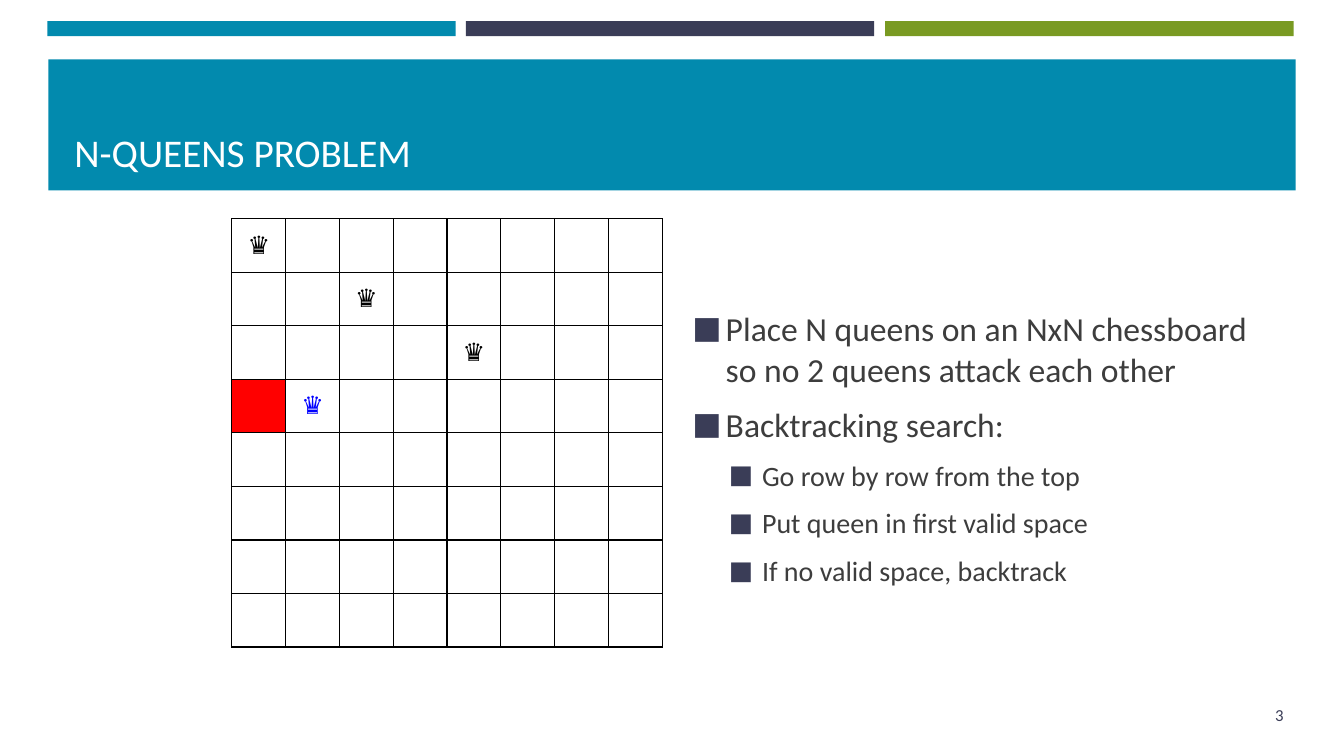
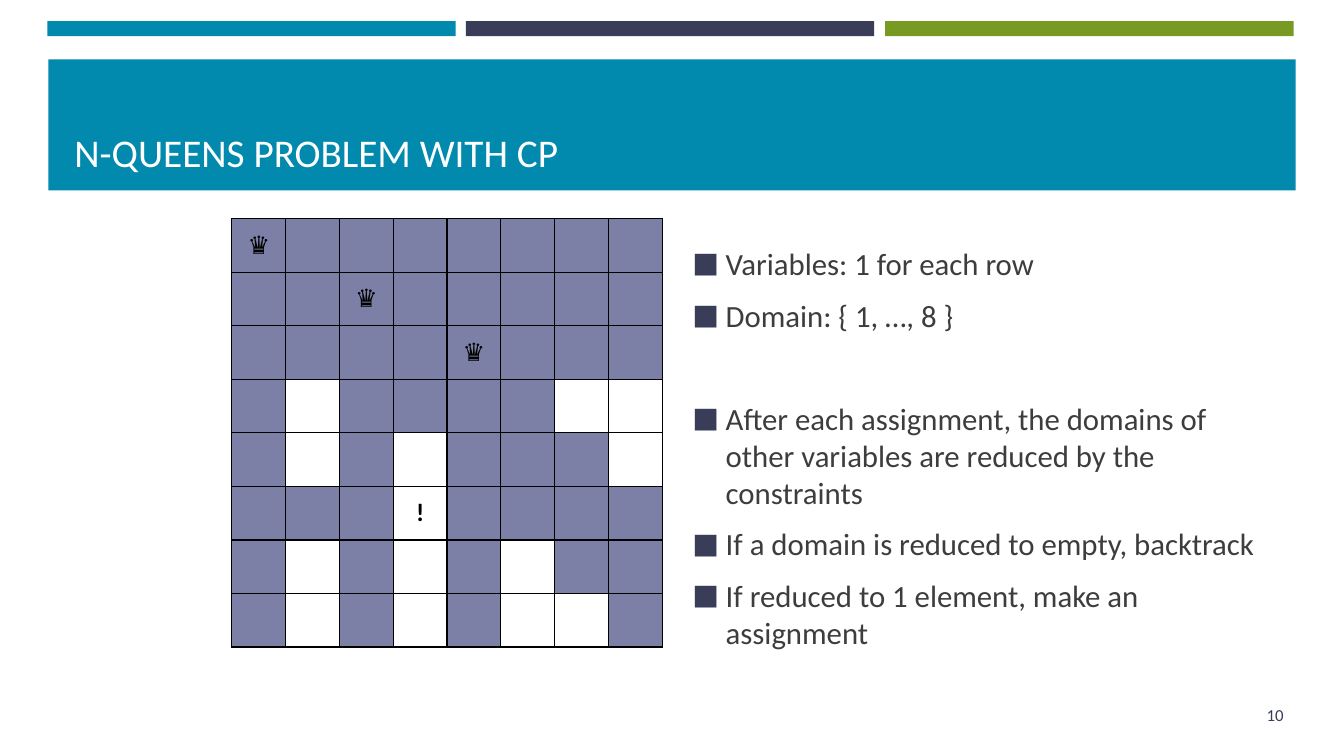
from lxml import etree
from pptx import Presentation
from pptx.dml.color import RGBColor
from pptx.enum.shapes import MSO_SHAPE
from pptx.enum.text import MSO_ANCHOR, PP_ALIGN
from pptx.oxml.ns import qn
from pptx.util import Pt

RECT = MSO_SHAPE.RECTANGLE
LEFT, MID, RIGHT = PP_ALIGN.LEFT, PP_ALIGN.CENTER, PP_ALIGN.RIGHT
CENTRE, BASE = MSO_ANCHOR.MIDDLE, MSO_ANCHOR.BOTTOM
SCALE = 9144  # EMU per px, 100 px to the inch
FONT = "Calibri"
INK = {
    "teal": "028AAE", "navy": "3A3D57", "green": "799A22",
    "white": "FFFFFF", "black": "000000", "text": "3D3D3D",
    "red": "FF0000", "blue": "0000FF", "slate": "7C80A7",
}

# Board marks: sign, sign colour, cell fill
MARKS = {
    ".": ("", "black", "white"),
    "#": ("", "black", "slate"),
    "X": ("", "black", "red"),
    "Q": ("♛", "black", "white"),
    "q": ("♛", "black", "slate"),
    "T": ("♛", "blue", "white"),
    "!": ("!", "black", "white"),
}
SEARCH = ["Q.......", "..Q.....", "....Q...", "XT......"] + ["." * 8] * 4
DOMAINS = ["q#######", "##q#####", "####q###", "#.####..",
           "#.#.###.", "###!####", "#.#.#.##", "#.#.#..#"]

# Points: level, text, extra space above in pt
GOALS = [
    (0, "Place N queens on an NxN chessboard so no 2 queens attack each other", 0),
    (0, "Backtracking search:", 0),
    (1, "Go row by row from the top", 0),
    (1, "Put queen in first valid space", 0),
    (1, "If no valid space, backtrack", 0),
]
RULES = [
    (0, "Variables: 1 for each row", 0),
    (0, "Domain: { 1, …, 8 }", 0),
    (0, "After each assignment, the domains of other variables are reduced "
        "by the constraints", 37),
    (0, "If a domain is reduced to empty, backtrack", 0),
    (0, "If reduced to 1 element, make an assignment", 0),
]


def px(num):
    return num * SCALE


def tint(name):
    return RGBColor.from_string(INK[name])


def write(para, text, size=18, color="black", bold=False, align=LEFT):
    para.alignment = align
    run = para.add_run()
    run.text = text
    font = run.font
    font.name, font.size, font.bold = FONT, Pt(size), bold
    font.color.rgb = tint(color)


def block(slide, color, *box):
    shape = slide.shapes.add_shape(RECT, *map(px, box))
    shape.shadow.inherit = False
    shape.fill.solid()
    shape.fill.fore_color.rgb = tint(color)
    shape.line.fill.background()


def frame(slide, anchor, *box):
    area = slide.shapes.add_textbox(*map(px, box)).text_frame
    area.word_wrap = True
    area.vertical_anchor = anchor
    return area


def bullet(para, level):
    props = para._p.get_or_add_pPr()
    props.set("marL", str(px(33 + 36 * level)))
    props.set("indent", str(px(-33)))
    paint = etree.SubElement(props, qn("a:buClr"))
    etree.SubElement(paint, qn("a:srgbClr"), val=INK["navy"])
    etree.SubElement(props, qn("a:buSzPct"), val="92000")
    etree.SubElement(props, qn("a:buFont"), typeface=FONT)
    etree.SubElement(props, qn("a:buChar"), char="■")


def points(slide, items, sizes):
    area = frame(slide, CENTRE, 677, 209, 593, 470)
    for num, (level, text, gap) in enumerate(items):
        para = area.add_paragraph() if num else area.paragraphs[0]
        size = sizes[level]
        para.space_before = Pt(size * 0.2 + gap)
        para.space_after = Pt(6)
        bullet(para, level)
        write(para, text, size=size, color="text")


def border(cell):
    props = cell._tc.get_or_add_tcPr()
    for side in ("a:lnL", "a:lnR", "a:lnT", "a:lnB"):
        line = etree.SubElement(props, qn(side), w=str(Pt(1)))
        fill = etree.SubElement(line, qn("a:solidFill"))
        etree.SubElement(fill, qn("a:srgbClr"), val=INK["black"])


def board(slide, rows):
    count = len(rows)
    wide, high = px(427), px(425)
    table = slide.shapes.add_table(
        count, count, px(230), px(217), wide, high).table
    table.first_row = table.horz_banding = False
    for col in table.columns:
        col.width = wide // count
    for row in table.rows:
        row.height = high // count
    for y, row in enumerate(rows):
        for x, mark in enumerate(row):
            sign, color, fill = MARKS[mark]
            cell = table.cell(y, x)
            border(cell)
            cell.fill.solid()
            cell.fill.fore_color.rgb = tint(fill)
            cell.vertical_anchor = CENTRE
            if sign:
                write(cell.text_frame.paragraphs[0], sign, color=color,
                      bold=sign == "!", align=MID)


def page(deck, title, number):
    slide = deck.slides.add_slide(deck.slide_layouts[6])
    # Top strips and title band
    for num, color in enumerate(("teal", "navy", "green")):
        block(slide, color, 47 + num * 831 // 2, 21, 405, 15)
    block(slide, "teal", 48, 59, 1237, 130)
    head = frame(slide, BASE, 64, 71, 1206, 108)
    write(head.paragraphs[0], title, size=28, color="white")
    # Page number
    foot = frame(slide, CENTRE, 1165, 689, 118, 40)
    write(foot.paragraphs[0], number, size=12, color="navy", align=RIGHT)
    return slide


def main():
    deck = Presentation()
    deck.slide_width, deck.slide_height = px(1333), px(750)

    # Backtracking search
    slide = page(deck, "N-QUEENS PROBLEM", "3")
    board(slide, SEARCH)
    points(slide, GOALS, (24, 20))

    # Constraint programming
    slide = page(deck, "N-QUEENS PROBLEM WITH CP", "10")
    board(slide, DOMAINS)
    points(slide, RULES, (22,))

    deck.save("out.pptx")


if __name__ == "__main__":
    main()
